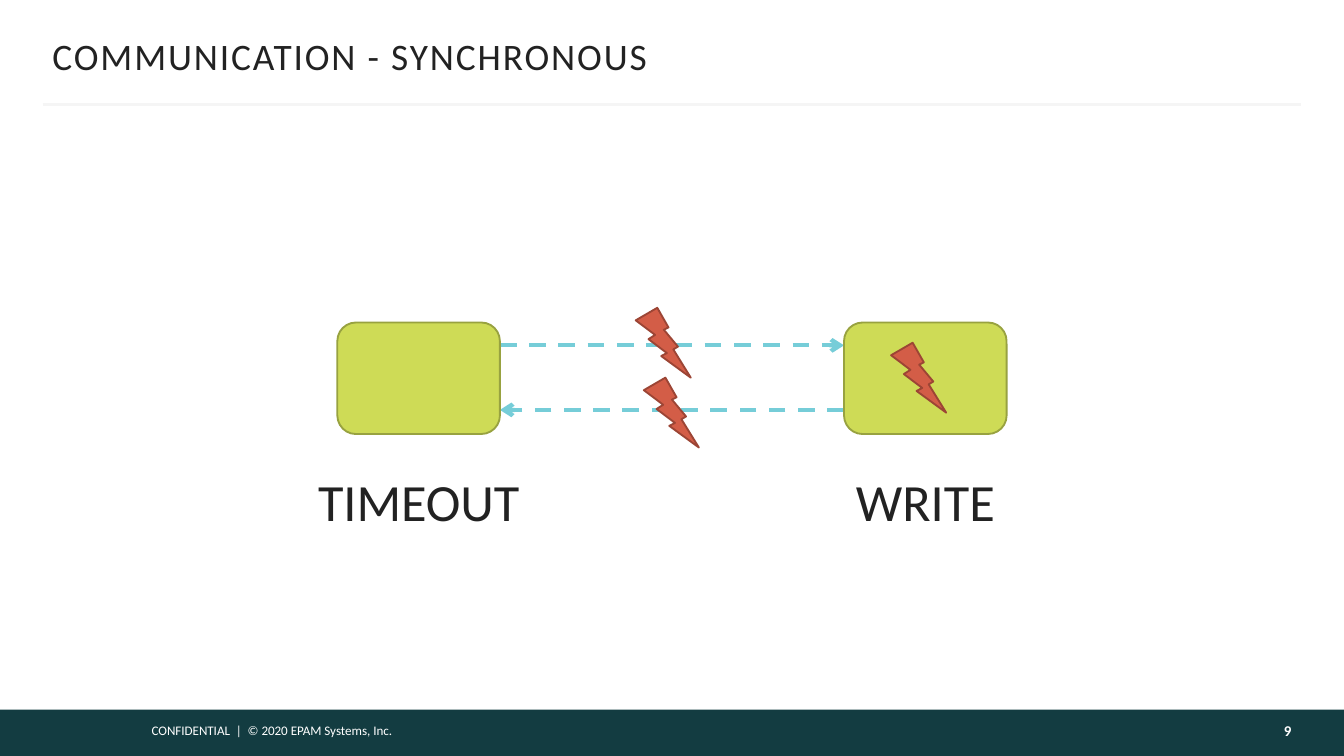
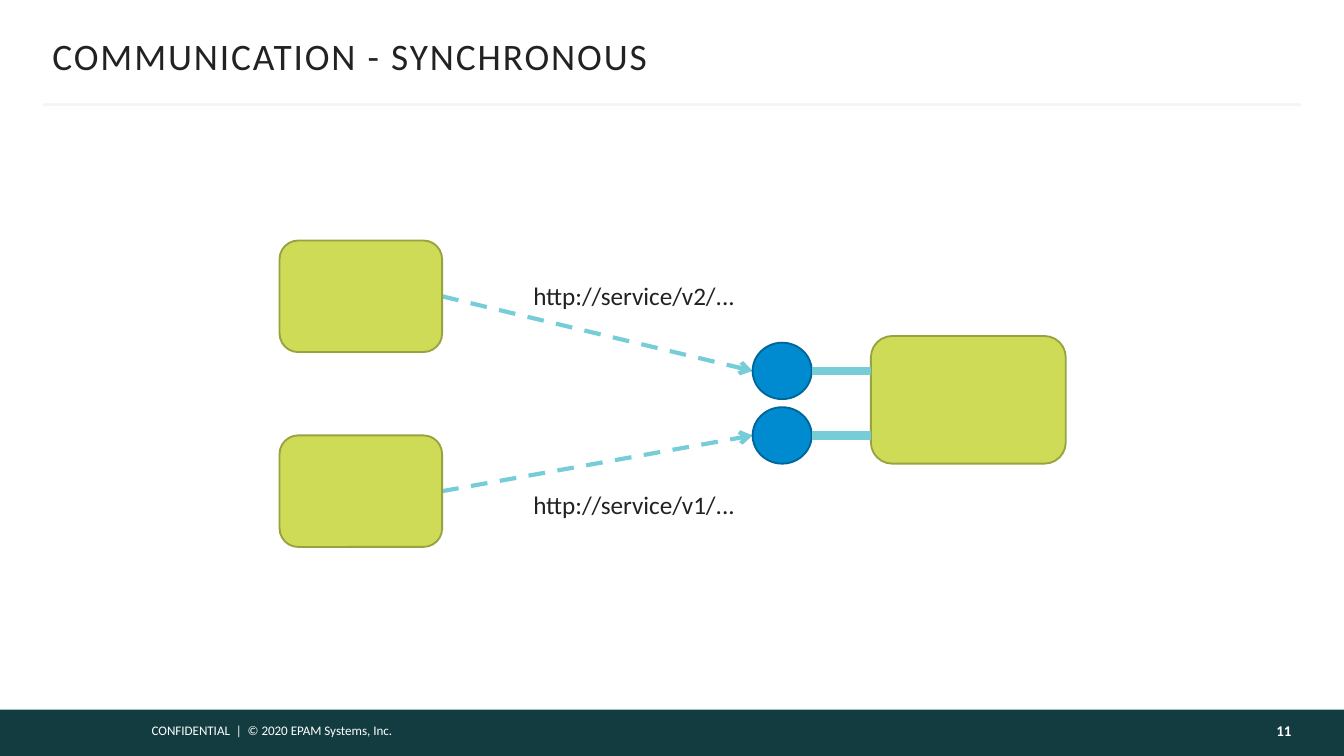
from dataclasses import dataclass

from lxml import etree
from pptx import Presentation
from pptx import util as u
from pptx.dml.color import RGBColor
from pptx.enum import dml, shapes, text
from pptx.oxml import ns

FONT = "Calibri"
INK, WHITE, PAGE_NO = "222222", "FFFFFF", "FEFEFE"
BAND, RULE, FLOW = "133C41", "F5F5F5", "76CDD8"
TITLE = "COMMUNICATION - SYNCHRONOUS"
FOOTER = "CONFIDENTIAL  |  © 2020 EPAM Systems, Inc."
WIDTH = 10
HEIGHT = WIDTH * 9 / 16
SERVICE_W, SERVICE_H = 1.21, 0.83
PORT_W, PORT_H = 0.44, 0.42
BOLT_W, BOLT_H = 0.41, 0.52


@dataclass(frozen=True)
class Style:
    preset: shapes.MSO_SHAPE
    fill: str
    line: str | None = None


@dataclass(frozen=True)
class TextStyle:
    size: float
    color: str = INK
    bold: bool = False
    align: text.PP_ALIGN = text.PP_ALIGN.LEFT
    anchor: text.MSO_ANCHOR = text.MSO_ANCHOR.TOP
    insets: tuple[float, float, float, float] = (0.1, 0.05, 0.1, 0.05)
    wrap: bool = False
    spacing: int = 0


@dataclass(frozen=True)
class LineStyle:
    color: str
    width: float
    dashed: bool = False
    arrow: bool = False


BAND_STYLE = Style(shapes.MSO_SHAPE.RECTANGLE, BAND)
SERVICE = Style(shapes.MSO_SHAPE.ROUNDED_RECTANGLE, "CEDB56", "98A240")
PORT = Style(shapes.MSO_SHAPE.OVAL, "008ACF", "006699")
BOLT = Style(shapes.MSO_SHAPE.LIGHTNING_BOLT, "D35D47", "9C4535")

TITLE_TEXT = TextStyle(20, anchor=text.MSO_ANCHOR.MIDDLE,
                       insets=(0, 0.05, 0, 0.05), wrap=True, spacing=100)
FOOTER_TEXT = TextStyle(7, WHITE, wrap=True)
NUMBER_TEXT = TextStyle(8, PAGE_NO, True, text.PP_ALIGN.RIGHT,
                        text.MSO_ANCHOR.MIDDLE, (0.1, 0.05, 0, 0.09), True)
STATE_TEXT = TextStyle(28, align=text.PP_ALIGN.CENTER)
URL_TEXT = TextStyle(13.5)

RULE_LINE = LineStyle(RULE, 1.5)
CALL = LineStyle(FLOW, 2.25, dashed=True, arrow=True)
PORT_LINK = LineStyle(FLOW, 4.5)


def rgb(value: str) -> RGBColor:
    return RGBColor.from_string(value)


def add_box(s, style: Style, x: float, y: float, w: float, h: float) -> None:
    sp = s.shapes.add_shape(style.preset, *map(u.Inches, (x, y, w, h)))
    sp.shadow.inherit = False
    sp.fill.solid()
    sp.fill.fore_color.rgb = rgb(style.fill)
    if style.line:
        sp.line.color.rgb = rgb(style.line)
        sp.line.width = u.Pt(1)
    else:
        sp.line.fill.background()


def add_text(s, words: str, style: TextStyle,
             x: float, y: float, w: float, h: float) -> None:
    tf = s.shapes.add_textbox(*map(u.Inches, (x, y, w, h))).text_frame
    left, top, right, bottom = map(u.Inches, style.insets)
    frame_format = {
        "word_wrap": style.wrap, "vertical_anchor": style.anchor,
        "margin_left": left, "margin_top": top,
        "margin_right": right, "margin_bottom": bottom,
    }
    for name, value in frame_format.items():
        setattr(tf, name, value)
    p = tf.paragraphs[0]
    p.alignment = style.align
    r = p.add_run()
    r.text = words
    font_format = {"name": FONT, "size": u.Pt(style.size), "bold": style.bold}
    for name, value in font_format.items():
        setattr(r.font, name, value)
    r.font.color.rgb = rgb(style.color)
    if style.spacing:
        r.font._element.set("spc", str(style.spacing))


def add_line(s, style: LineStyle,
             x1: float, y1: float, x2: float, y2: float) -> None:
    cx = s.shapes.add_connector(shapes.MSO_CONNECTOR.STRAIGHT,
                                *map(u.Inches, (x1, y1, x2, y2)))
    cx.line.color.rgb = rgb(style.color)
    cx.line.width = u.Pt(style.width)
    if style.dashed:
        cx.line.dash_style = dml.MSO_LINE.DASH
    if style.arrow:
        etree.SubElement(cx.line._get_or_add_ln(), ns.qn("a:tailEnd"), type="arrow")
    etree.SubElement(cx._element.spPr, ns.qn("a:effectLst"))


def add_base(prs, number: int):
    """Add a slide with the shared title, rule and footer."""
    s = prs.slides.add_slide(prs.slide_layouts[6])
    add_box(s, BAND_STYLE, 0, 5.28, WIDTH, 0.35)
    add_text(s, FOOTER, FOOTER_TEXT, 1.03, 5.33, 2.65, 0.22)
    add_line(s, RULE_LINE, 0.32, 0.78, 9.68, 0.78)
    add_text(s, str(number), NUMBER_TEXT, 8.11, 5.28, 1.5, 0.35)
    add_text(s, TITLE, TITLE_TEXT, 0.39, 0.25, 9.22, 0.33)
    return s


def build_failures(prs) -> None:
    s = add_base(prs, 9)
    client_x, server_x, top = 2.51, 6.28, 2.4
    client_right = client_x + SERVICE_W

    # Request and response between the two services
    add_line(s, CALL, client_right, 2.57, server_x, 2.57)
    add_line(s, CALL, server_x, 3.05, client_right, 3.05)
    for x, state, label_w in ((client_x, "TIMEOUT", 1.72), (server_x, "WRITE", 1.25)):
        add_box(s, SERVICE, x, top, SERVICE_W, SERVICE_H)
        add_text(s, state, STATE_TEXT, x + (SERVICE_W - label_w) / 2, 3.44, label_w, 0.57)

    # Points of failure
    for x, y in ((4.73, 2.29), (6.63, 2.55), (4.79, 2.81)):
        add_box(s, BOLT, x, y, BOLT_W, BOLT_H)


def build_versions(prs) -> None:
    s = add_base(prs, 11)
    client_x, port_x, server_x = 2.08, 5.6, 6.48
    add_box(s, SERVICE, server_x, 2.5, 1.45, 0.95)

    # One client, port and address for each version
    for version, client_y, port_y, url_y in (("v2", 1.79, 2.76, 2.04),
                                             ("v1", 3.24, 3.24, 3.59)):
        add_line(s, CALL, client_x + SERVICE_W, client_y + SERVICE_H / 2, port_x, port_y)
        add_box(s, SERVICE, client_x, client_y, SERVICE_W, SERVICE_H)
        add_box(s, PORT, port_x, port_y - PORT_H / 2, PORT_W, PORT_H)
        add_line(s, PORT_LINK, port_x + PORT_W, port_y, server_x, port_y)
        add_text(s, f"http://service/{version}/...", URL_TEXT, 3.87, url_y, 1.73, 0.33)


def main() -> None:
    prs = Presentation()
    prs.slide_width, prs.slide_height = u.Inches(WIDTH), u.Inches(HEIGHT)
    build_failures(prs)
    build_versions(prs)
    prs.save("out.pptx")


if __name__ == "__main__":
    main()
